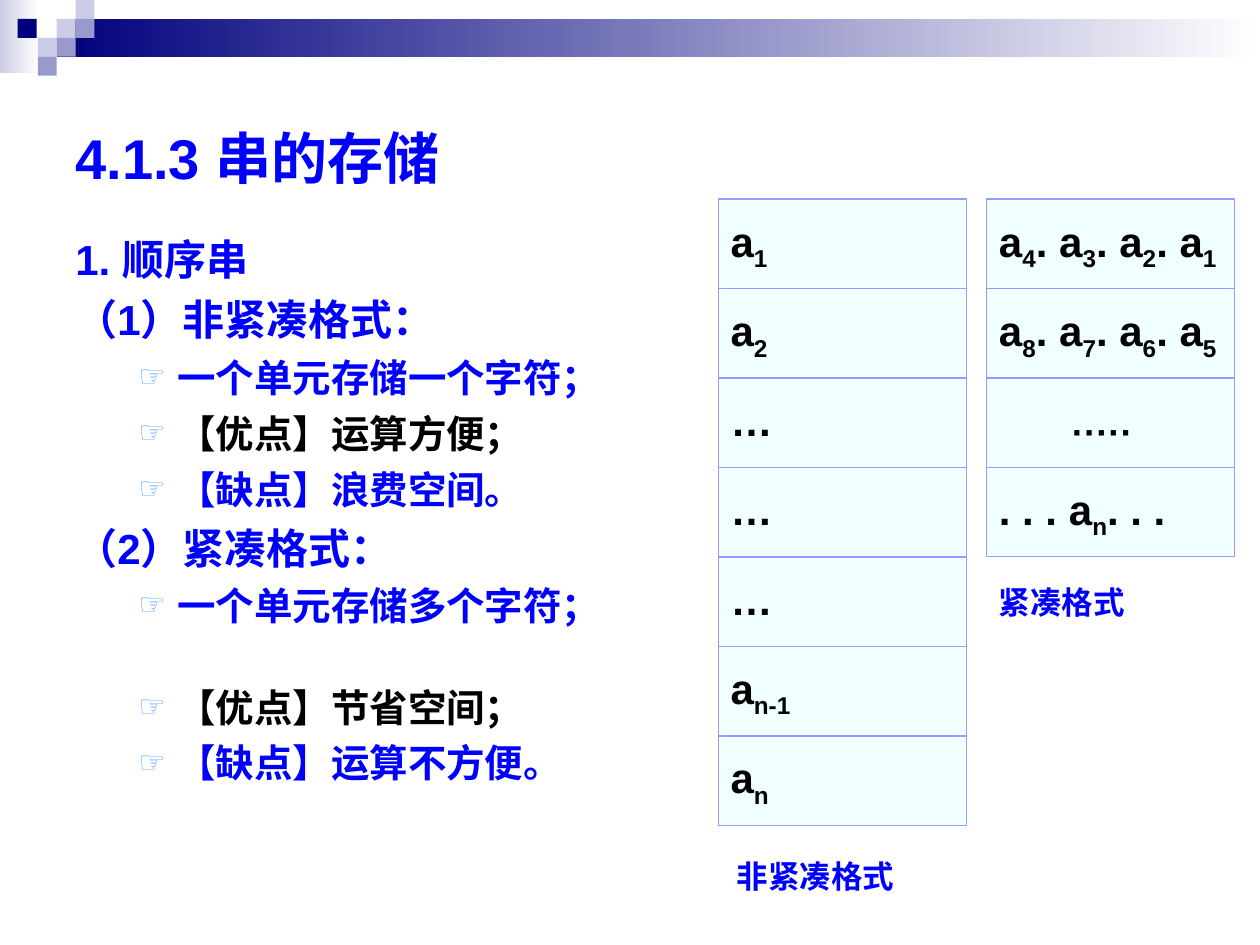
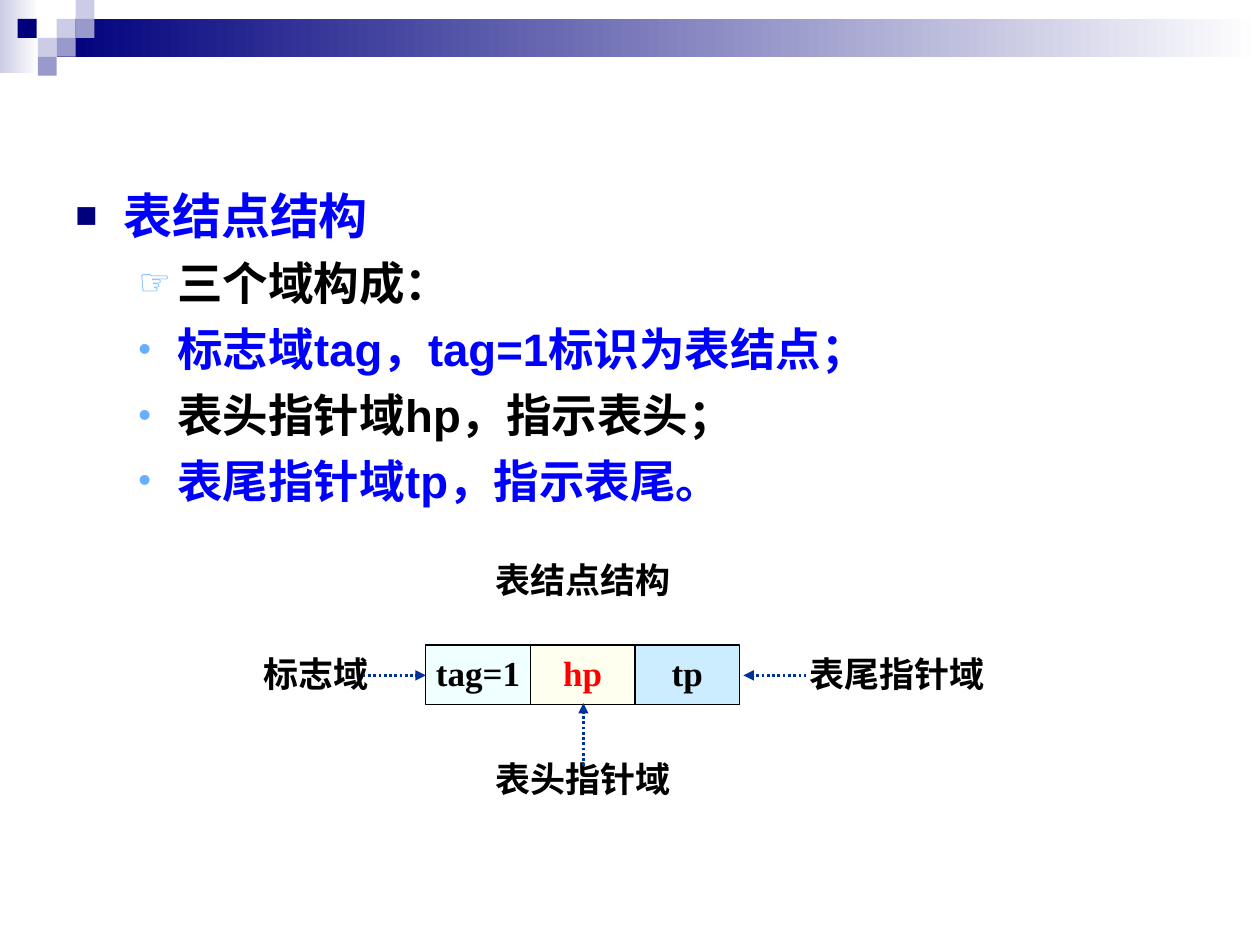
from lxml import etree
from pptx import Presentation
from pptx.dml.color import RGBColor
from pptx.enum.dml import MSO_LINE
from pptx.enum.shapes import MSO_CONNECTOR, MSO_SHAPE
from pptx.enum.text import MSO_ANCHOR, PP_ALIGN
from pptx.oxml.ns import qn
from pptx.util import Inches, Pt

BLACK, BLUE, RED = "000000", "0000FF", "FF0000"
NAVY, LILAC, PALE_LILAC, WHITE = "00007D", "9999CC", "CCCCE6", "FFFFFF"
CELL_FILL, CELL_LINE, ARROW, HAND_COLOR = "F0FFFF", "9999FF", "003399", "67AFFF"
SANS, SERIF = "Arial", "Times New Roman"
TITLE_ONLY, BLANK = 5, 6
HAND, DOT, SQUARE = ("☞", HAND_COLOR, 80), ("•", HAND_COLOR, 80), ("■", NAVY, 75)
CELL_WIDTH, CELL_HEIGHT, STACK_TOP = 1.97, 0.71, 1.58
FIELD_WIDTH, FIELD_HEIGHT, FIELD_LEFT, FIELD_TOP = 0.83, 0.47, 3.38, 5.12


def rgb(color):
    return RGBColor.from_string(color)


def style_font(font, size, color, name=SANS):
    font.size, font.bold, font.name = Pt(size), True, name
    font.color.rgb = rgb(color)


def set_margins(frame, left=0.1, top=0.05, right=0.1, bottom=0.05):
    frame.margin_left, frame.margin_top = Inches(left), Inches(top)
    frame.margin_right, frame.margin_bottom = Inches(right), Inches(bottom)


def add_rectangle(slide, left, top, width, height, fill, fade_to=None, line=None):
    """Add a plain rectangle; fade_to turns the fill into a left-to-right gradient."""
    shape = slide.shapes.add_shape(
        MSO_SHAPE.RECTANGLE, Inches(left), Inches(top), Inches(width), Inches(height))
    shape.shadow.inherit = False
    if fade_to:
        shape.fill.gradient()
        shape.fill.gradient_angle = 0
        for stop, color in zip(shape.fill.gradient_stops, (fill, fade_to)):
            stop.color.rgb = rgb(color)
    else:
        shape.fill.solid()
        shape.fill.fore_color.rgb = rgb(fill)
    if line:
        shape.line.color.rgb = rgb(line)
        shape.line.width = Pt(0.75)
    else:
        shape.line.fill.background()
    return shape


def add_band(slide):
    """Draw the gradient band and the checker squares at the top."""
    add_rectangle(slide, 0, 0, 0.31, 0.58, PALE_LILAC, WHITE)
    add_rectangle(slide, 0.45, 0.15, 9.55, 0.3, NAVY, WHITE)
    squares = [(0.45, 0.15, PALE_LILAC), (0.6, 0, PALE_LILAC), (0.6, 0.15, LILAC),
               (0.3, 0.3, PALE_LILAC), (0.14, 0.15, NAVY), (0.45, 0.3, LILAC),
               (0.3, 0.45, LILAC)]
    for left, top, color in squares:
        add_rectangle(slide, left, top, 0.15, 0.15, color)


def new_slide(presentation, layout):
    slide = presentation.slides.add_slide(presentation.slide_layouts[layout])
    add_band(slide)
    return slide


def set_title(slide, text):
    title = slide.shapes.title
    title.left, title.top = Inches(0.5), Inches(0.92)
    title.width, title.height = Inches(4.42), Inches(0.66)
    title.text_frame.vertical_anchor = MSO_ANCHOR.MIDDLE
    title.text_frame.text = text
    paragraph = title.text_frame.paragraphs[0]
    paragraph.alignment = PP_ALIGN.LEFT
    style_font(paragraph.font, 32, BLUE)


def add_text_box(slide, left, top, width, height):
    box = slide.shapes.add_textbox(Inches(left), Inches(top), Inches(width), Inches(height))
    box.text_frame.word_wrap = True
    return box.text_frame


def set_indent(paragraph, left, first=0):
    properties = paragraph._p.get_or_add_pPr()
    properties.set("marL", str(Inches(left)))
    properties.set("indent", str(Inches(first)))
    return properties


def set_bullet(paragraph, bullet, outer):
    """Indent the paragraph; outer lines hang at the edge, the others one step in."""
    properties = set_indent(paragraph, *((0.38, -0.38) if outer else (0.81, -0.31)))
    if not bullet:
        etree.SubElement(properties, qn("a:buNone"))
        return
    character, color, percent = bullet
    bullet_color = etree.SubElement(properties, qn("a:buClr"))
    etree.SubElement(bullet_color, qn("a:srgbClr"), val=color)
    etree.SubElement(properties, qn("a:buSzPct"), val=str(percent * 1000))
    etree.SubElement(properties, qn("a:buFont"), typeface=SANS)
    etree.SubElement(properties, qn("a:buChar"), char=character)


def add_outline(slide, left, top, width, height, lines):
    """Lines are (text, size, color, bullet, space before)."""
    frame = add_text_box(slide, left, top, width, height)
    for index, (text, size, color, bullet, before) in enumerate(lines):
        paragraph = frame.add_paragraph() if index else frame.paragraphs[0]
        paragraph.text = text
        set_bullet(paragraph, bullet, outer=bullet in (None, SQUARE))
        paragraph.space_before = Pt(before)
        style_font(paragraph.font, size, color)


def add_cell(slide, left, top, parts, size=24, indent=0, margins=None):
    """Add a storage cell; every second part of its text is a subscript."""
    shape = add_rectangle(slide, left, top, CELL_WIDTH, CELL_HEIGHT, CELL_FILL, line=CELL_LINE)
    frame = shape.text_frame
    frame.word_wrap = False
    frame.vertical_anchor = MSO_ANCHOR.MIDDLE
    set_margins(frame, **(margins or {}))
    paragraph = frame.paragraphs[0]
    paragraph.alignment = PP_ALIGN.LEFT
    set_indent(paragraph, indent)
    style_font(paragraph.font, size, BLACK)
    for index, part in enumerate(parts):
        if part:
            run = paragraph.add_run()
            run.text = part
            if index % 2:
                run.font._element.set("baseline", "-25000")


def add_stack(slide, left, cells):
    for row, (parts, options) in enumerate(cells):
        add_cell(slide, left, STACK_TOP + row * CELL_HEIGHT, parts, **options)


def add_label(slide, left, top, width, text, size, color, font,
              alignment=PP_ALIGN.CENTER, margin_top=0.01):
    frame = add_text_box(slide, left, top, width, 0.4)
    set_margins(frame, top=margin_top)
    paragraph = frame.paragraphs[0]
    paragraph.text = text
    paragraph.alignment = alignment
    style_font(paragraph.font, size, color, font)


def add_field(slide, column, text, fill, color):
    shape = add_rectangle(slide, FIELD_LEFT + column * FIELD_WIDTH, FIELD_TOP,
                          FIELD_WIDTH, FIELD_HEIGHT, fill, line=BLACK)
    frame = shape.text_frame
    frame.word_wrap = False
    frame.vertical_anchor = MSO_ANCHOR.MIDDLE
    set_margins(frame, top=0.01)
    paragraph = frame.paragraphs[0]
    paragraph.text = text
    paragraph.alignment = PP_ALIGN.CENTER
    style_font(paragraph.font, 20, color, SERIF)


def add_arrow(slide, *ends):
    """Add a dotted arrow; ends are x and y of the start, then of the tip."""
    connector = slide.shapes.add_connector(MSO_CONNECTOR.STRAIGHT, *map(Inches, ends))
    connector.line.color.rgb = rgb(ARROW)
    connector.line.width = Pt(1.5)
    connector.line.dash_style = MSO_LINE.ROUND_DOT
    etree.SubElement(connector.line._get_or_add_ln(), qn("a:tailEnd"), type="triangle")
    etree.SubElement(connector._element.spPr, qn("a:effectLst"))


def build_string_storage(presentation):
    slide = new_slide(presentation, TITLE_ONLY)
    set_title(slide, "4.1.3 串的存储")
    add_outline(slide, 0.5, 1.8, 4.42, 4.95, [
        ("1. 顺序串", 24, BLUE, None, 0),
        ("（1）非紧凑格式：", 24, BLUE, None, 6),
        ("一个单元存储一个字符；", 22, BLUE, HAND, 5.5),
        ("【优点】运算方便；", 22, BLACK, HAND, 5.5),
        ("【缺点】浪费空间。", 22, BLUE, HAND, 5.5),
        ("（2）紧凑格式：", 24, BLUE, None, 6),
        ("一个单元存储多个字符；", 22, BLUE, HAND, 5.5),
        ("【优点】节省空间；", 22, BLACK, HAND, 31.5),
        ("【缺点】运算不方便。", 22, BLUE, HAND, 5.5),
    ])
    ellipsis = (("…",), {"margins": {"top": 0}})
    dots_margins = {"top": 0, "right": 0.06, "bottom": 0.21}
    add_stack(slide, 7.83, [
        (("a", "4", ". a", "3", ". a", "2", ". a", "1"), {}),
        (("a", "8", ". a", "7", ". a", "6", ". a", "5"), {}),
        (("", "·····"), {"size": 36, "indent": 0.58, "margins": dots_margins}),
        ((". . . a", "n", ". . ."), {}),
    ])
    add_stack(slide, 5.7, [
        (("a", "1"), {}), (("a", "2"), {}), ellipsis, ellipsis, ellipsis,
        (("a", "n-1"), {}), (("a", "n"), {}),
    ])
    for left, top, text in [(5.75, 6.75, "非紧凑格式"), (7.83, 4.58, "紧凑格式")]:
        add_label(slide, left, top, 1.92, text, 18, BLUE, SANS, PP_ALIGN.LEFT, 0.05)


def build_list_node(presentation):
    slide = new_slide(presentation, BLANK)
    add_outline(slide, 0.5, 1.42, 9, 2.8, [
        ("表结点结构", 28, BLUE, SQUARE, 0),
        ("三个域构成：", 26, BLACK, HAND, 6.5),
        ("标志域tag，tag=1标识为表结点；", 26, BLUE, DOT, 6.5),
        ("表头指针域hp，指示表头；", 26, BLACK, DOT, 6.5),
        ("表尾指针域tp，指示表尾。", 26, BLUE, DOT, 6.5),
    ])
    fields = [("tag=1", CELL_FILL, BLACK), ("hp", "FFFFF0", RED), ("tp", "CCECFF", BLACK)]
    for column, field in enumerate(fields):
        add_field(slide, column, *field)
    labels = [(1.67, 5.17, 1.67, "标志域"), (6.32, 5.17, 1.6, "表尾指针域"),
              (3.78, 6, 1.69, "表头指针域"), (3.78, 4.42, 1.69, "表结点结构")]
    for label in labels:
        add_label(slide, *label, 20, BLACK, SERIF)
    add_arrow(slide, 2.88, 5.36, 3.38, 5.36)
    add_arrow(slide, 6.4, 5.36, 5.9, 5.36)
    add_arrow(slide, 4.63, 6.08, 4.63, 5.58)


def main():
    presentation = Presentation()
    presentation.slide_width, presentation.slide_height = Inches(10), Inches(7.5)
    build_string_storage(presentation)
    build_list_node(presentation)
    presentation.save("out.pptx")


if __name__ == "__main__":
    main()
